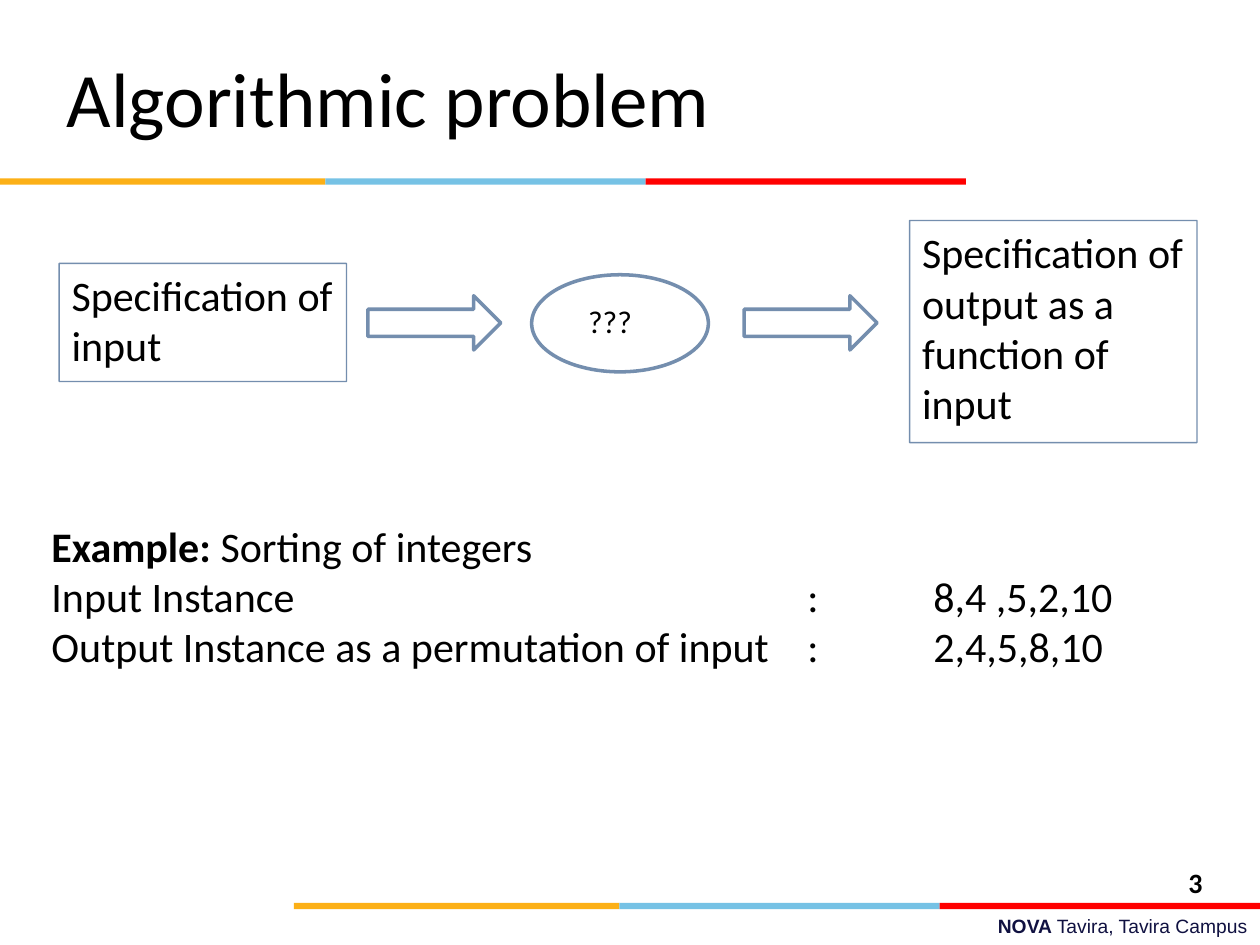
from lxml import etree
from pptx import Presentation
from pptx.dml.color import RGBColor
from pptx.enum.shapes import MSO_SHAPE
from pptx.enum.text import MSO_ANCHOR, PP_ALIGN
from pptx.oxml.ns import qn
from pptx.util import Pt

RECT, ARROW, OVAL = MSO_SHAPE.RECTANGLE, MSO_SHAPE.RIGHT_ARROW, MSO_SHAPE.OVAL
LEFT, RIGHT = PP_ALIGN.LEFT, PP_ALIGN.RIGHT
TOP, MIDDLE = MSO_ANCHOR.TOP, MSO_ANCHOR.MIDDLE

BLACK = RGBColor(0x00, 0x00, 0x00)
NAVY = RGBColor(0x10, 0x11, 0x41)
STEEL = RGBColor(0x3A, 0x5F, 0x8C)
GOLD = RGBColor(0xFC, 0xB0, 0x17)
SKY = RGBColor(0x76, 0xC2, 0xE5)
RED = RGBColor(0xFF, 0x00, 0x00)


def write(frame, lines, size, font="Calibri", color=BLACK, align=LEFT):
    """Fill a frame; each line is a list of (words, bold) runs."""
    frame.word_wrap = True
    for i, line in enumerate(lines):
        para = frame.paragraphs[0] if i == 0 else frame.add_paragraph()
        para.alignment = align
        for words, bold in line:
            run = para.add_run()
            run.text = words
            run.font.name, run.font.size = font, Pt(size)
            run.font.bold = bold
            run.font.color.rgb = color


def add_text(slide, box, lines, size, anchor=TOP, **style):
    frame = slide.shapes.add_textbox(*map(Pt, box)).text_frame
    frame.vertical_anchor = anchor
    write(frame, lines, size, **style)
    return frame


def add_band(slide, left, top):
    """Draw the three-colour stripe."""
    for color, width in ((GOLD, 186), (SKY, 183), (RED, 183)):
        bar = slide.shapes.add_shape(RECT, Pt(left), Pt(top), Pt(width), Pt(3.6))
        bar.shadow.inherit = False
        bar.fill.solid()
        bar.fill.fore_color.rgb = color
        bar.line.fill.background()
        left += width


def add_node(slide, kind, box, weight, words=None):
    """Draw an unfilled shape with a 70 % opaque outline."""
    node = slide.shapes.add_shape(kind, *map(Pt, box))
    node.shadow.inherit = False
    node.fill.background()
    node.line.color.rgb = STEEL
    node.line.width = Pt(weight)
    tint = node.line._get_or_add_ln().find(".//" + qn("a:srgbClr"))
    etree.SubElement(tint, qn("a:alpha")).set("val", "70000")
    if words:
        node.text_frame.vertical_anchor = TOP
        write(node.text_frame, [[(words, False)]], 24)


def set_tabs(frame, stops):
    for para in frame.paragraphs:
        tabs = etree.SubElement(para._p.get_or_add_pPr(), qn("a:tabLst"))
        for stop in stops:
            tab = etree.SubElement(tabs, qn("a:tab"))
            tab.set("pos", str(Pt(stop)))
            tab.set("algn", "l")


def main():
    deck = Presentation()
    deck.slide_width, deck.slide_height = Pt(720), Pt(540)
    slide = deck.slides.add_slide(deck.slide_layouts[6])

    # Frame of the slide: stripes, footer, title and page number
    add_band(slide, 168, 516)
    add_band(slide, 0, 102)
    add_text(slide, (257.8, 519, 462.2, 21),
             [[("NOVA ", True), ("Tavira, Tavira Campus", False)]],
             11, font="Arial", color=NAVY, align=RIGHT)
    add_text(slide, (31, 21.6, 481.7, 67), [[("Algorithmic problem", False)]],
             44, anchor=MIDDLE)
    add_text(slide, (672, 491, 48, 23), [[("3", True)]], 16)

    # Flow from input to output
    add_node(slide, RECT, (519.8, 126, 164.2, 127), 0.75,
             "Specification of output as a function of input")
    add_node(slide, RECT, (33.8, 150.5, 164.2, 67.5), 0.75,
             "Specification of input")
    for left in (210.2, 425.2):
        add_node(slide, ARROW, (left, 169, 76, 31), 2)
    add_node(slide, OVAL, (303.8, 157, 101, 55.5), 2)
    add_text(slide, (329, 169.2, 50.4, 30), [[("???", False)]], 18)

    # Worked example
    frame = add_text(slide, (22.3, 264.2, 680.4, 262), [
        [("Example: ", True), ("Sorting of integers", False)],
        [("Input Instance\t:\t8,4 ,5,2,10", False)],
        [("Output Instance as a permutation of input\t:\t2,4,5,8,10", False)],
    ], 24)
    frame.margin_top = Pt(33)
    set_tabs(frame, (432, 504))

    deck.save("out.pptx")


if __name__ == "__main__":
    main()
